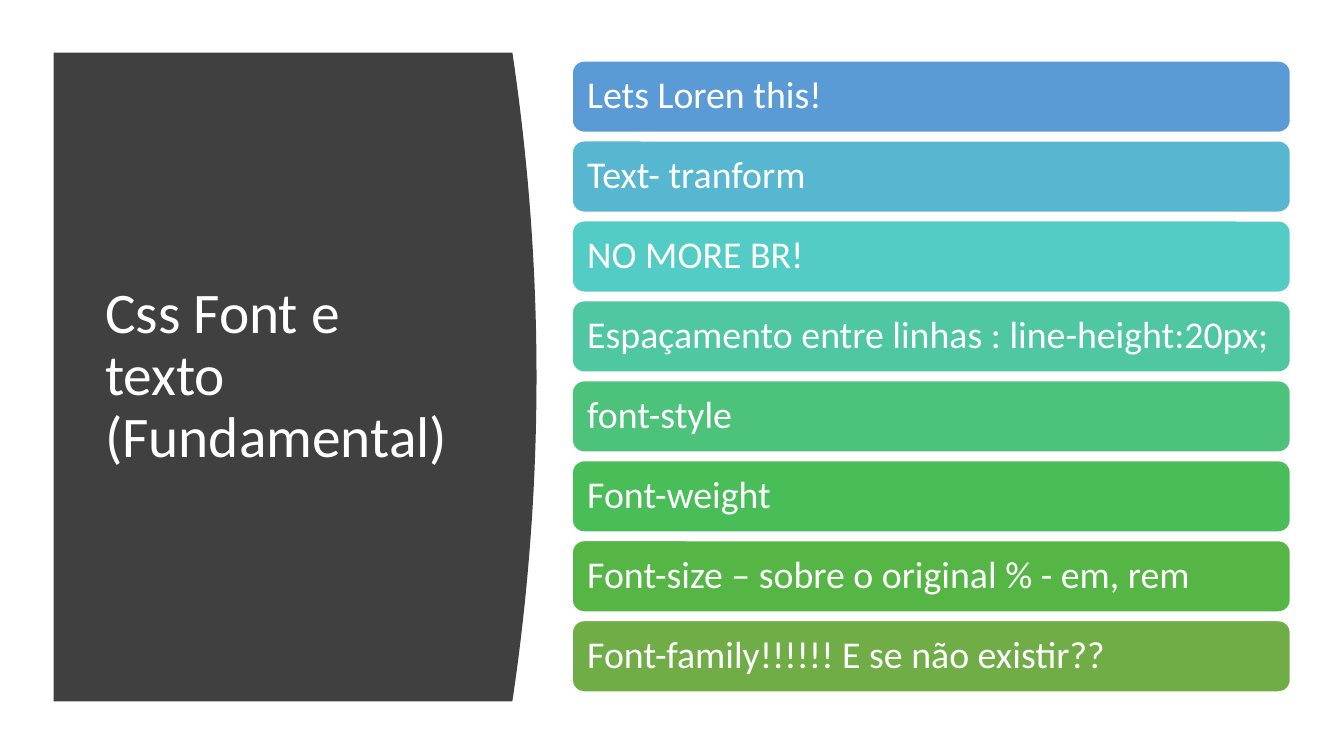
from pptx import Presentation
from pptx.dml.color import RGBColor as RGB
from pptx.enum.shapes import MSO_SHAPE as SHAPE
from pptx.enum.text import MSO_ANCHOR as ANCHOR, PP_ALIGN as ALIGN
from pptx.util import Pt

PX = 9525
COLORS = {"panel": "404040", "white": "FFFFFF"}
TOPICS = {
    "Lets Loren this!": "5B9BD5",
    "Text- tranform": "57B7D1",
    "NO MORE BR!": "53CCC5",
    "Espaçamento entre linhas : line-height:20px;": "4FC7A0",
    "font-style": "4CC27B",
    "Font-weight": "48BD58",
    "Font-size – sobre o original % - em, rem": "55B646",
    "Font-family!!!!!! E se não existir??": "70AD47",
}


def px(n):
    return round(n * PX)


def write(sp, lines, size, inset):
    tf = sp.text_frame
    tf.word_wrap = True
    tf.vertical_anchor = ANCHOR.MIDDLE
    tf.margin_left = tf.margin_right = px(inset)
    tf.margin_top = tf.margin_bottom = px(5)
    p = tf.paragraphs[0]
    p.alignment = ALIGN.LEFT
    p.line_spacing = 0.9
    for i, line in enumerate(lines):
        if i:
            p.add_line_break()
        r = p.add_run()
        r.text = line
        r.font.name = "Calibri"
        r.font.size = Pt(size)
        r.font.color.rgb = RGB.from_string(COLORS["white"])


prs = Presentation()
prs.slide_width, prs.slide_height = px(1280), px(720)
s = prs.slides.add_slide(prs.slide_layouts[6])

left, top, bottom, apex, bulge = 51, 50, 668, 511, 23
middle = (top + bottom) / 2
curve = []
for i in range(41):
    t = i / 20 - 1
    curve.append((px(apex - bulge * t * t), px(middle + t * (bottom - top) / 2)))
outline = s.shapes.build_freeform(px(left), px(top))
outline.add_line_segments(curve + [(px(left), px(bottom))], close=True)
panel = outline.convert_to_shape()
panel.shadow.inherit = False
panel.fill.solid()
panel.fill.fore_color.rgb = RGB.from_string(COLORS["panel"])
panel.line.fill.background()

title = s.shapes.add_textbox(px(90), px(107), px(359), px(503))
write(title, ["Css Font e texto", "(Fundamental)"], 41, 10)

first_top, last_top = 58, 591
pitch = (last_top - first_top) / (len(TOPICS) - 1)
for i, (topic, color) in enumerate(TOPICS.items()):
    bar = s.shapes.add_shape(SHAPE.ROUNDED_RECTANGLE, px(545), px(first_top + i * pitch), px(684), px(68))
    bar.shadow.inherit = False
    bar.fill.solid()
    bar.fill.fore_color.rgb = RGB.from_string(color)
    bar.line.color.rgb = RGB.from_string(COLORS["white"])
    bar.line.width = Pt(1)
    write(bar, [topic], 27, 11)

prs.save("out.pptx")
